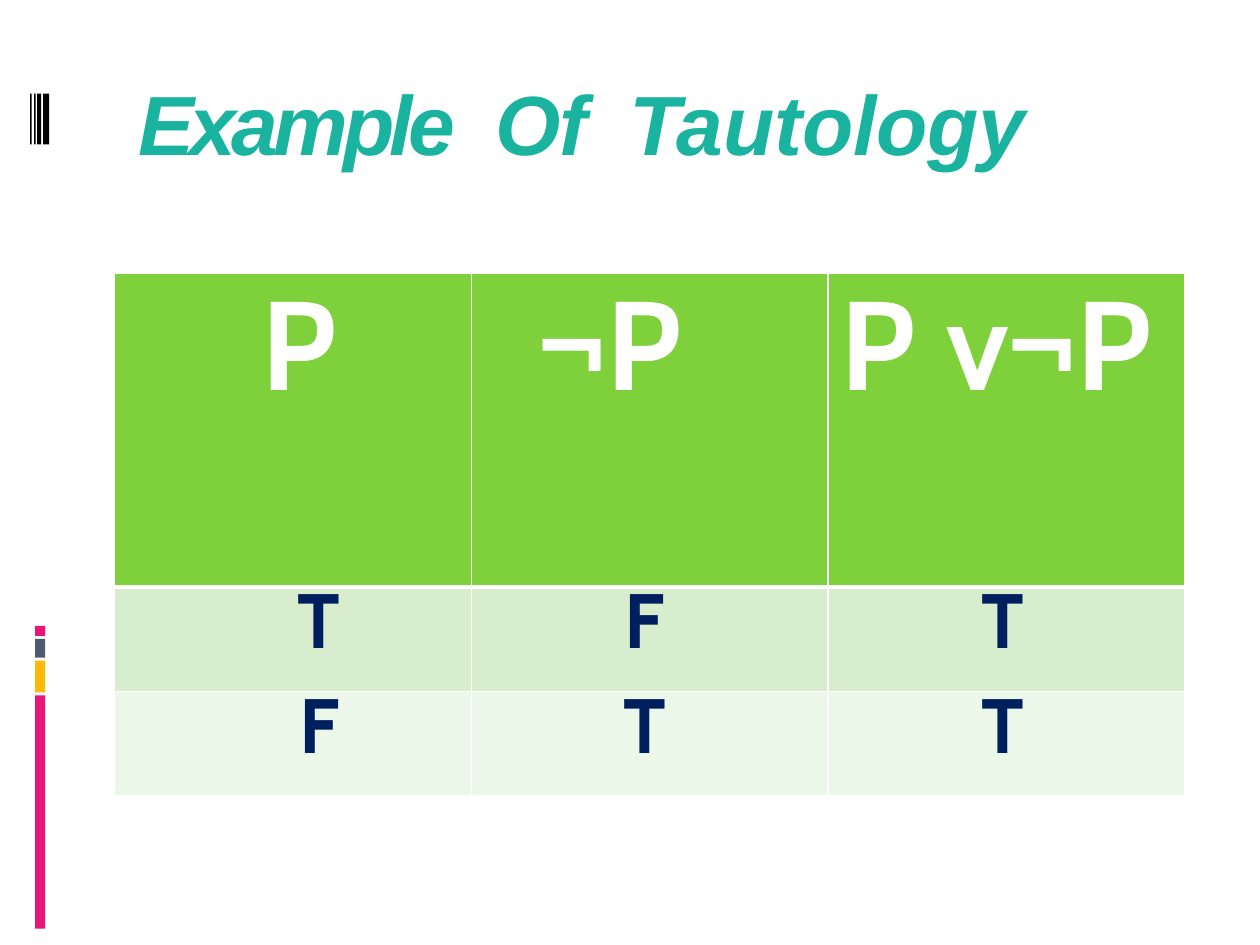
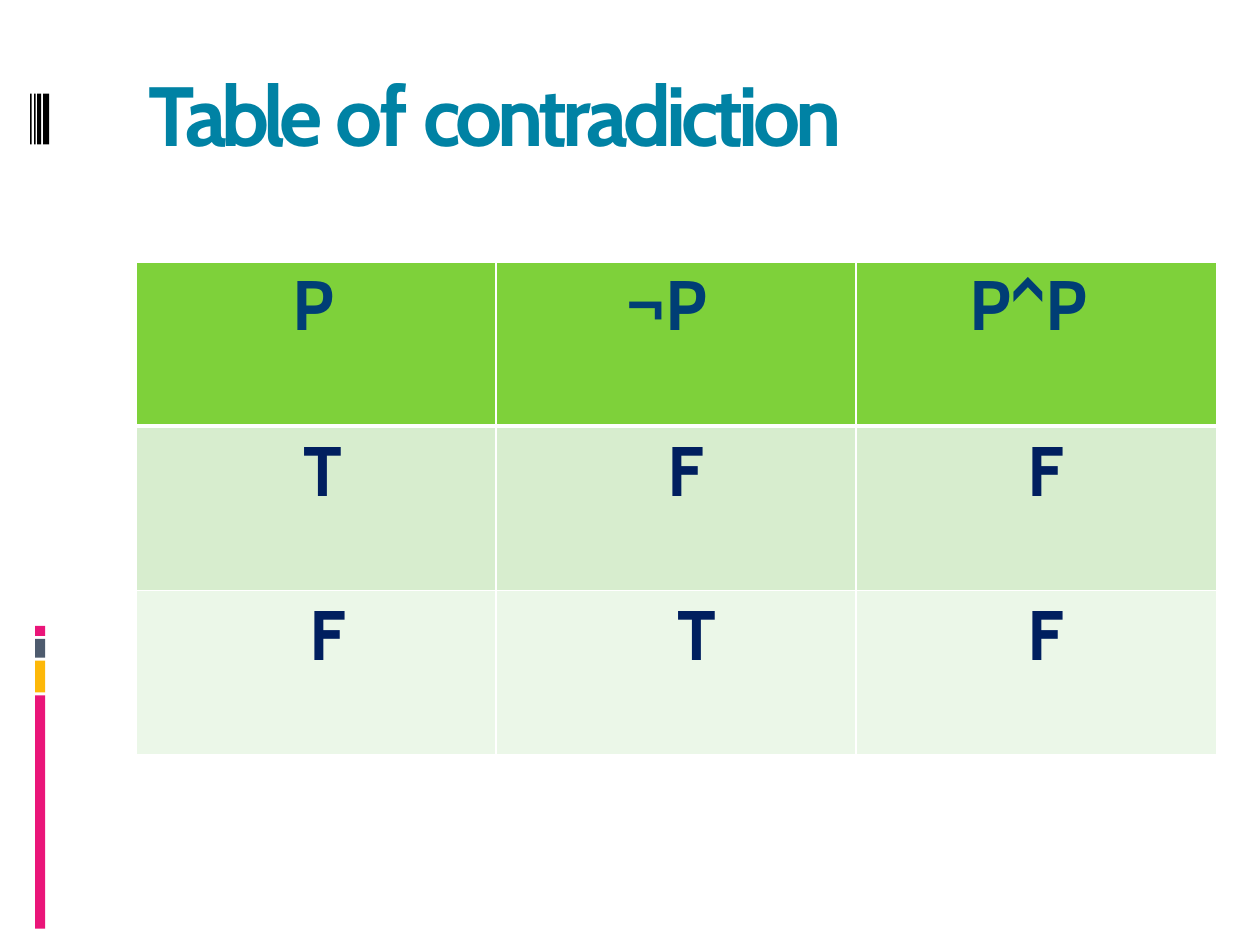
from lxml.etree import SubElement
from pptx import Presentation
from pptx.dml.color import RGBColor
from pptx.enum.shapes import MSO_SHAPE
from pptx.enum.text import MSO_ANCHOR, PP_ALIGN
from pptx.oxml.ns import qn
from pptx.util import Cm, Pt

# Colours
PINK = RGBColor(0xEA, 0x15, 0x79)
GOLD = RGBColor(0xFD, 0xB8, 0x09)
SLATE = RGBColor(0x4E, 0x5B, 0x6E)
BLACK = RGBColor(0, 0, 0)
WHITE = RGBColor(0xFF, 0xFF, 0xFF)
TEAL = RGBColor(0x1A, 0xB3, 0x9F)
BLUE = RGBColor(0x00, 0x82, 0xA4)
NAVY = RGBColor(0x00, 0x1F, 0x5F)
DEEP = RGBColor(0x00, 0x3E, 0x75)
FILLS = [RGBColor(0x7E, 0xD1, 0x3A), RGBColor(0xD7, 0xED, 0xCE),
         RGBColor(0xEB, 0xF7, 0xE8)]

# Side marks: (colour, height) of the stack, (left, width) of the stripes
STACK = [(PINK, 0.2), (SLATE, 0.38), (GOLD, 0.64), (PINK, 4.7)]
STRIPES = [(0.61, 0.03), (0.69, 0.03), (0.75, 0.08), (0.87, 0.12)]

LEFT, MID, RIGHT = PP_ALIGN.LEFT, PP_ALIGN.CENTER, PP_ALIGN.RIGHT


class Deck:
    font = "Cabin"

    def __init__(self):
        self.prs = Presentation()
        self.prs.slide_width, self.prs.slide_height = Cm(25.4), Cm(19.05)
        self.slide = None

    def page(self):
        self.slide = self.prs.slides.add_slide(self.prs.slide_layouts[5])
        top = 12.62
        for color, height in STACK:
            self.bar(0.71, top, 0.2, height, color)
            top += height + 0.06
        for left, width in STRIPES:
            self.bar(left, 1.89, width, 1.02, BLACK)

    def bar(self, left, top, width, height, color):
        shape = self.slide.shapes.add_shape(
            MSO_SHAPE.RECTANGLE, Cm(left), Cm(top), Cm(width), Cm(height))
        shape.shadow.inherit = False
        shape.fill.solid()
        shape.fill.fore_color.rgb = color
        shape.line.fill.background()

    def words(self, para, parts, size, color, font=font, slant=False):
        """Each part is (text, letter spacing in points)."""
        para.text = parts[0][0]
        for text, _ in parts[1:]:
            para.add_run().text = text
        for run, (_, gap) in zip(para.runs, parts):
            run.font.name, run.font.size = font, Pt(size)
            run.font.bold, run.font.italic = True, slant
            run.font.color.rgb = color
            run._r.get_or_add_rPr().set("spc", str(round(gap * 100)))

    def title(self, box, parts, color, tabs=(), **style):
        shape = self.slide.shapes.title
        shape.left, shape.top, shape.width, shape.height = map(Cm, box)
        frame = shape.text_frame
        frame.word_wrap, frame.vertical_anchor = True, MSO_ANCHOR.TOP
        frame.margin_left = frame.margin_top = Cm(0.03)
        frame.margin_right = frame.margin_bottom = 0
        para = frame.paragraphs[0]
        para.alignment, para.space_before = LEFT, Pt(1)
        self.words(para, parts, 48, color, **style)
        if tabs:
            stops = SubElement(para._p.get_or_add_pPr(), qn("a:tabLst"))
            for stop in tabs:
                SubElement(stops, qn("a:tab"), pos=str(Cm(stop)), algn="l")

    def edge(self, cell, row):
        """White rules, thicker between the head and the body."""
        props = cell._tc.get_or_add_tcPr()
        for side in "LRTB":
            thick = (row, side) in ((0, "B"), (1, "T"))
            line = SubElement(props, qn("a:ln" + side),
                              w=str(Pt(3 if thick else 1)))
            fill = SubElement(line, qn("a:solidFill"))
            SubElement(fill, qn("a:srgbClr"), val=str(WHITE))

    def table(self, left, top, width, heights, rows, looks):
        """A cell is (parts, align, left margin, right margin);
        a row look is (size, colour, line pitch, top margin)."""
        count = len(rows[0])
        grid = self.slide.shapes.add_table(
            len(rows), count, Cm(left), Cm(top),
            Cm(width * count), Cm(sum(heights))).table
        grid.first_row = grid.horz_banding = False
        for col in grid.columns:
            col.width = Cm(width)
        for r, (cells, look) in enumerate(zip(rows, looks)):
            grid.rows[r].height = Cm(heights[r])
            size, color, pitch, inset = look
            for c, (parts, align, before, after) in enumerate(cells):
                cell = grid.cell(r, c)
                self.edge(cell, r)
                cell.fill.solid()
                cell.fill.fore_color.rgb = FILLS[r]
                cell.margin_left, cell.margin_right = Cm(before), Cm(after)
                cell.margin_top, cell.margin_bottom = Cm(inset), 0
                para = cell.text_frame.paragraphs[0]
                para.alignment = align
                if pitch:
                    para.line_spacing = Pt(pitch)
                else:
                    para.space_before = Pt(1.1)
                self.words(para, parts, size, color)


def main():
    deck = Deck()

    # Tautology
    deck.page()
    deck.title((2.77, 1.42, 18, 2.11),
               [("Example\t", -2.8), ("Of\t", -0.8), ("Tautology", -0.1)],
               TEAL, tabs=(7.19, 9.88), font="Arial", slant=True)
    deck.table(2.31, 5.5, 7.19, [6.33, 2.11, 2.11], [
        [([("P", 0)], RIGHT, 0, 2.72),
         ([("¬P", -1.7)], LEFT, 1.3, 0),
         ([("P ", 0.9), ("v¬P", -2)], LEFT, 0.25, 0)],
        [([("T", 0)], RIGHT, 0, 2.64),
         ([("F", 0)], MID, 0, 0.2),
         ([("T", 0)], MID, 0, 0.15)],
        [([("F", 0)], RIGHT, 0, 2.64),
         ([("T", 0)], MID, 0, 0.2),
         ([("T", 0)], MID, 0, 0.15)],
    ], [(72, WHITE, 85.5, 0), (44, NAVY, 46.3, 0), (44, NAVY, 46.4, 0)])

    # Contradiction
    deck.page()
    deck.title((2.97, 1.24, 15.27, 2.11),
               [("Table ", -3.3), ("of ", -1.9), ("contradiction", -2.8)],
               BLUE)
    deck.table(2.74, 5.28, 7.26, [3.31] * 3, [
        [([("P", 0)], MID, 0, 0.1),
         ([("¬P", -1)], MID, 0, 0.4),
         ([("P^P", -0.5)], LEFT, 2.29, 0)],
        [([("T", 0)], RIGHT, 0, 3.1),
         ([("F", 0)], MID, 0.38, 0),
         ([("F", 0)], MID, 0.38, 0)],
        [([("F", 0)], RIGHT, 0, 3.02),
         ([("T", 0)], MID, 0.84, 0),
         ([("F", 0)], MID, 0.38, 0)],
    ], [(40, DEEP, None, 0.03)] + [(40, NAVY, None, 0.05)] * 2)

    deck.prs.save("out.pptx")


if __name__ == "__main__":
    main()
